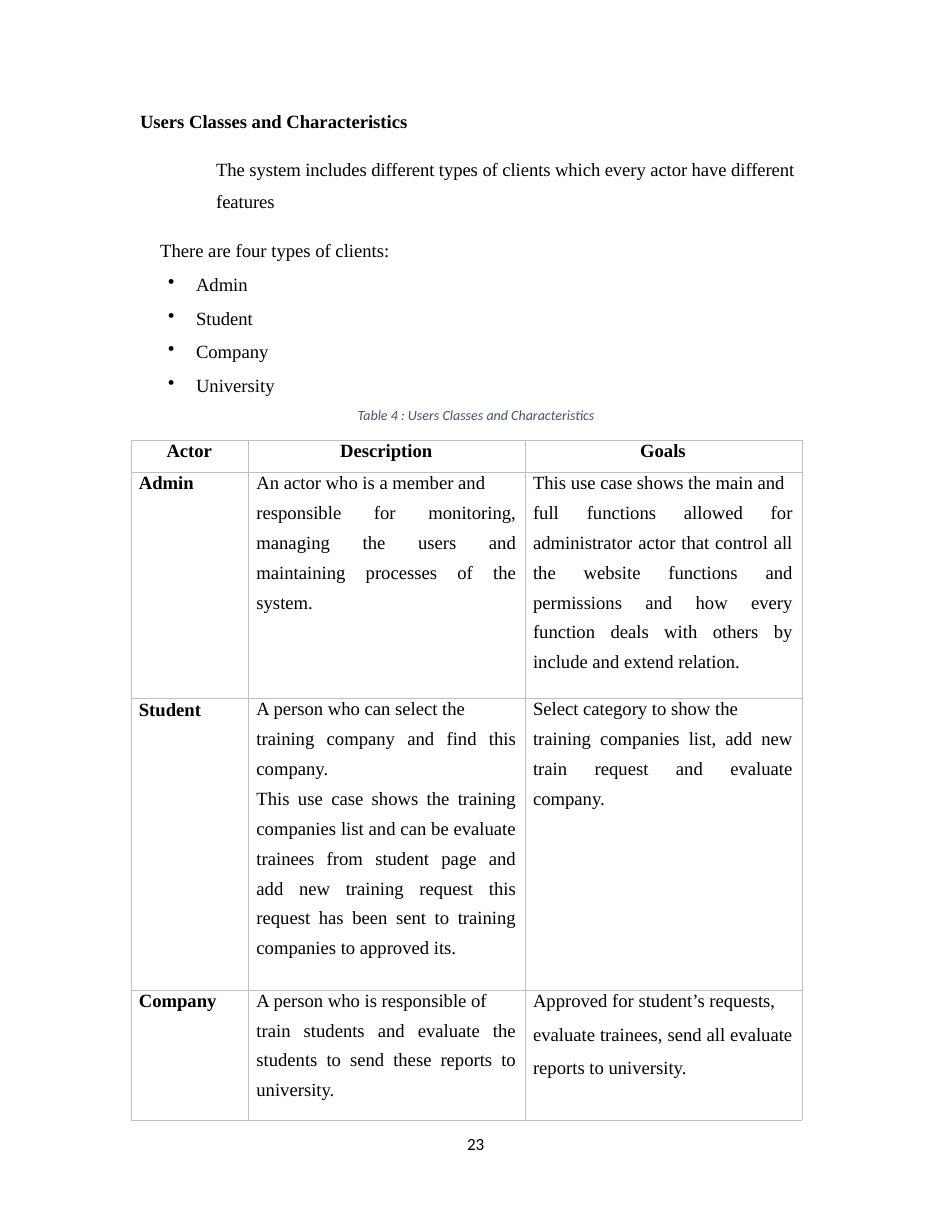
from dataclasses import dataclass

from lxml import etree
from pptx import Presentation
from pptx import util as u
from pptx.dml.color import RGBColor
from pptx.enum import text
from pptx.oxml.ns import qn

Inches, Pt = u.Inches, u.Pt
LEFT, CENTER, JUSTIFY = (text.PP_ALIGN.LEFT, text.PP_ALIGN.CENTER,
                         text.PP_ALIGN.JUSTIFY)


@dataclass(frozen=True)
class Theme:
    serif: str = "Times New Roman"
    sans: str = "Calibri"
    ink: RGBColor = RGBColor(0, 0, 0)
    caption: RGBColor = RGBColor(0x44, 0x53, 0x6A)
    border: str = "BEBEBE"
    body: float = 12
    small: float = 9
    folio: float = 11


T = Theme()

HEADING = "Users Classes and Characteristics"
INTRO = ("The system includes different types of clients "
         "which every actor have different features")
CLIENTS = ["Admin", "Student", "Company", "University"]
COLUMNS = [("Actor", 1.05), ("Description", 2.47), ("Goals", 2.47)]
HEADER_HEIGHT = 0.29
# Each row: height, actor, description paragraphs, goals paragraphs
ACTORS = [
    (2.02, "Admin",
     ["An actor who is a member and",
      "responsible for monitoring, managing the users and maintaining "
      "processes of the system."],
     ["This use case shows the main and",
      "full functions allowed for administrator actor that control all the "
      "website functions and permissions and how every function deals with "
      "others by include and extend relation."]),
    (2.6, "Student",
     ["A person who can select the",
      "training company and find this company.",
      "This use case shows the training companies list and can be evaluate "
      "trainees from student page and add new training request this request "
      "has been sent to training companies to approved its."],
     ["Select category to show the",
      "training companies list, add new train request and evaluate company."]),
    (1.16, "Company",
     ["A person who is responsible of",
      "train students and evaluate the students to send these reports to "
      "university."],
     ["Approved for student’s requests,",
      "evaluate trainees, send all evaluate reports to university."]),
]


def set_font(p, size=T.body, name=T.serif, color=T.ink, bold=False, italic=False):
    f = p.font
    f.size, f.name, f.bold, f.italic = Pt(size), name, bold, italic
    f.color.rgb = color


def add_paragraph(tf, words, before=0, spacing=None, align=LEFT, indent=0, **font):
    """Append a paragraph, using the frame's first one while it is empty."""
    p = tf.paragraphs[0] if not tf.text else tf.add_paragraph()
    p.text = words
    p.alignment = align
    p.space_before = Pt(before)
    if spacing:
        p.line_spacing = spacing
    if indent:
        p._p.get_or_add_pPr().set("marL", str(Inches(indent)))
    set_font(p, **font)
    return p


def add_bullet(p, hang):
    pPr = p._p.get_or_add_pPr()
    pPr.set("indent", str(-Inches(hang)))
    bullet = etree.Element(qn("a:buChar"), char="•")
    pPr.insert_element_before(bullet, "a:tabLst", "a:defRPr", "a:extLst")


def add_text_frame(s, left, top, width, height):
    tf = s.shapes.add_textbox(Inches(left), Inches(top),
                              Inches(width), Inches(height)).text_frame
    tf.word_wrap = True
    tf.margin_left = tf.margin_top = tf.margin_right = tf.margin_bottom = 0
    return tf


def add_introduction(s, left, top, width, height):
    tf = add_text_frame(s, left, top, width, height)
    tf.margin_top = Inches(0.01)
    add_paragraph(tf, HEADING, before=1, indent=0.01, bold=True)
    intro = add_paragraph(tf, INTRO, before=10.2, spacing=1.43, indent=0.69)
    intro.runs[0].font._element.set("spc", "-5")
    add_paragraph(tf, "There are four types of clients:", before=17.5, indent=0.19)
    for client in CLIENTS:
        p = add_paragraph(tf, client, before=7.2, indent=0.51)
        add_bullet(p, 0.25)
    add_paragraph(tf, f"Table 4 : {HEADING}", before=7, align=CENTER,
                  size=T.small, name=T.sans, color=T.caption, italic=True)


def style_cell(cell):
    cell.fill.background()
    cell.margin_left, cell.margin_right = Inches(0.07), Inches(0.08)
    cell.margin_top = cell.margin_bottom = 0
    tcPr = cell._tc.get_or_add_tcPr()
    for i, side in enumerate(("lnL", "lnR", "lnT", "lnB")):
        ln = etree.Element(qn(f"a:{side}"), w=str(Pt(0.5)))
        fill = etree.SubElement(ln, qn("a:solidFill"))
        etree.SubElement(fill, qn("a:srgbClr"), val=T.border)
        tcPr.insert(i, ln)


def fill_label(cell, words, align=LEFT):
    add_paragraph(cell.text_frame, words, spacing=Pt(13.8), align=align, bold=True)


def fill_prose(cell, paragraphs, spacing=1.44, before=0.1):
    """Set a tight opening line, then justified text with open leading."""
    first, *rest = paragraphs
    tf = cell.text_frame
    add_paragraph(tf, first, spacing=Pt(13.6), align=JUSTIFY)
    for words in rest:
        add_paragraph(tf, words, before=before, spacing=spacing, align=JUSTIFY)


def add_actor_table(s, left, top, width, height):
    table = s.shapes.add_table(len(ACTORS) + 1, len(COLUMNS), Inches(left),
                               Inches(top), Inches(width), Inches(height)).table
    table.first_row = table.horz_banding = False
    for cell in table.iter_cells():
        style_cell(cell)
    table.rows[0].height = Inches(HEADER_HEIGHT)
    for c, (title, column_width) in enumerate(COLUMNS):
        table.columns[c].width = Inches(column_width)
        fill_label(table.cell(0, c), title, CENTER)
    for r, (row_height, actor, description, goals) in enumerate(ACTORS, 1):
        table.rows[r].height = Inches(row_height)
        fill_label(table.cell(r, 0), actor)
        fill_prose(table.cell(r, 1), description)
        if actor == "Company":
            fill_prose(table.cell(r, 2), goals, spacing=Pt(20.8), before=1.6)
        else:
            fill_prose(table.cell(r, 2), goals)


def add_page_number(s, left, top, width, height):
    tf = add_text_frame(s, left, top, width, height)
    add_paragraph(tf, "23", spacing=Pt(11.5), indent=0.01,
                  size=T.folio, name=T.sans)


def main():
    prs = Presentation()
    prs.slide_width, prs.slide_height = Inches(8.5), Inches(11)
    s = prs.slides.add_slide(prs.slide_layouts[6])
    add_page_number(s, 4.16, 10.14, 0.21, 0.18)
    add_introduction(s, 1.24, 0.97, 6.02, 2.82)
    add_actor_table(s, 1.17, 3.93, 6, 6.07)
    prs.save("out.pptx")


if __name__ == "__main__":
    main()
